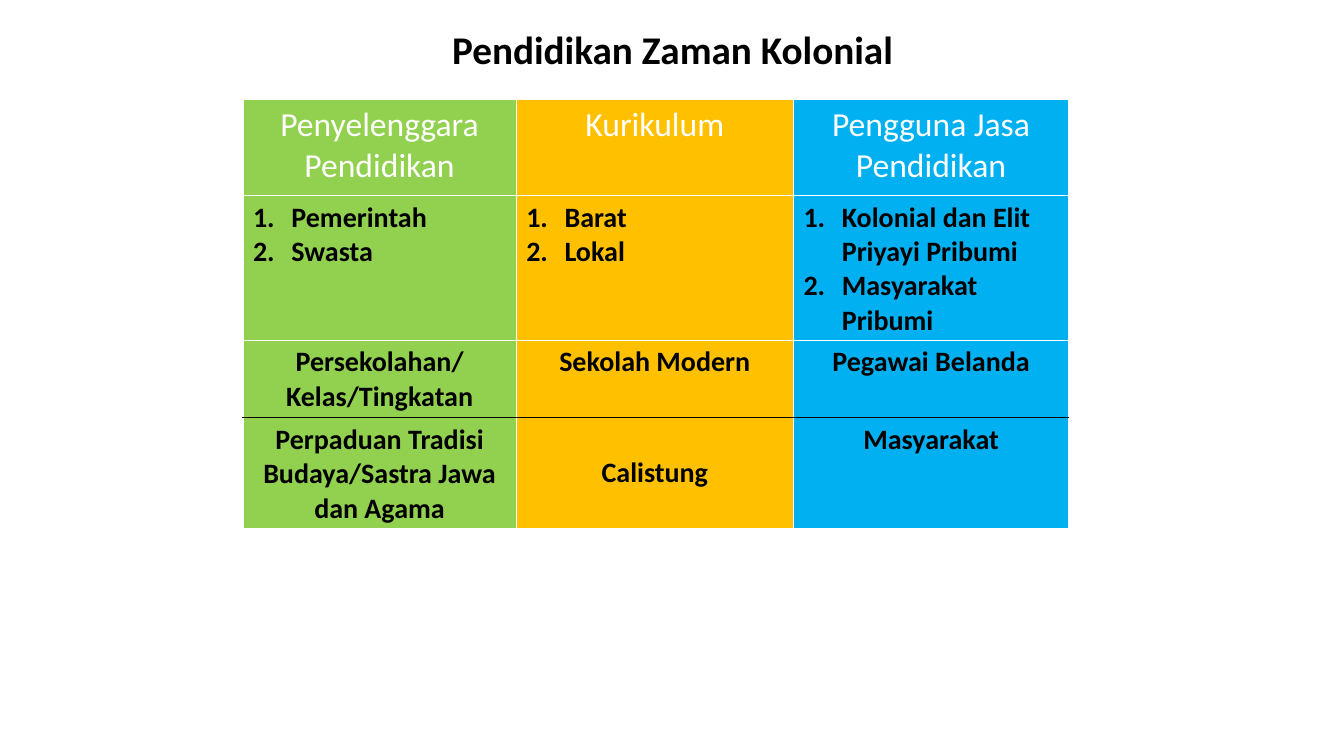
"""Build a slide with a table on education in the colonial era."""
from lxml import etree
from pptx import Presentation
from pptx.dml.color import RGBColor
from pptx.enum import text
from pptx.oxml import ns
from pptx.util import Inches, Pt

BLACK = RGBColor(0x00, 0x00, 0x00)
WHITE = RGBColor(0xFF, 0xFF, 0xFF)
GREEN = RGBColor(0x92, 0xD0, 0x50)
AMBER = RGBColor(0xFF, 0xC0, 0x00)
BLUE = RGBColor(0x00, 0xB0, 0xF0)

COLUMN_FILLS = [GREEN, AMBER, BLUE]
COLUMN_WIDTHS = [2.71, 2.75, 2.73]
ROW_HEIGHTS = [0.95, 1.43, 0.77, 1.1]
HEADER_ROW, LIST_ROW, SCHOOL_ROW, TRADITION_ROW = range(4)
ROWS = [
    ["Penyelenggara Pendidikan", "Kurikulum", "Pengguna Jasa\nPendidikan"],
    ["Pemerintah\nSwasta", "Barat\nLokal",
     "Kolonial dan Elit Priyayi Pribumi\nMasyarakat Pribumi"],
    ["Persekolahan/Kelas/Tingkatan", "Sekolah Modern", "Pegawai Belanda"],
    ["Perpaduan Tradisi Budaya/Sastra Jawa dan Agama", "Calistung", "Masyarakat"],
]


def add_border(cell, side, color):
    properties = cell._tc.get_or_add_tcPr()
    line = etree.SubElement(properties, ns.qn(f"a:ln{side}"), w=str(Pt(1)))
    fill = etree.SubElement(line, ns.qn("a:solidFill"))
    etree.SubElement(fill, ns.qn("a:srgbClr"), val=str(color))


def number_paragraph(paragraph):
    properties = paragraph._p.get_or_add_pPr()
    indent = Inches(0.38)
    properties.set("marL", str(indent))
    properties.set("indent", str(-indent))
    etree.SubElement(properties, ns.qn("a:buFont"), typeface="+mj-lt")
    etree.SubElement(properties, ns.qn("a:buAutoNum"), type="arabicPeriod")


presentation = Presentation()
presentation.slide_width = Inches(13.33)
presentation.slide_height = Inches(7.5)
slide = presentation.slides.add_slide(presentation.slide_layouts[5])

title = slide.shapes.title
title.left, title.top = Inches(3.64), Inches(0.2)
title.width, title.height = Inches(6.06), Inches(0.57)
title.text_frame.text = "Pendidikan Zaman Kolonial"
title.text_frame.auto_size = text.MSO_AUTO_SIZE.SHAPE_TO_FIT_TEXT
heading = title.text_frame.paragraphs[0]
heading.alignment = text.PP_ALIGN.CENTER
heading.font.name = "Calibri"
heading.font.size = Pt(28)
heading.font.bold = True
heading.font.color.rgb = BLACK

table = slide.shapes.add_table(
    len(ROWS), len(COLUMN_WIDTHS), Inches(2.41), Inches(0.99),
    Inches(sum(COLUMN_WIDTHS)), Inches(sum(ROW_HEIGHTS))).table
table.first_row = False
table.horz_banding = False
for column, width in zip(table.columns, COLUMN_WIDTHS):
    column.width = Inches(width)
for row, height in zip(table.rows, ROW_HEIGHTS):
    row.height = Inches(height)

for row_index, row_texts in enumerate(ROWS):
    is_header = row_index == HEADER_ROW
    border_colors = {
        "L": WHITE,
        "R": WHITE,
        "T": BLACK if row_index == TRADITION_ROW else WHITE,
        "B": BLACK if row_index == SCHOOL_ROW else WHITE,
    }
    for column_index, cell_text in enumerate(row_texts):
        cell = table.cell(row_index, column_index)
        cell.text = cell_text
        for side, color in border_colors.items():
            add_border(cell, side, color)
        cell.fill.solid()
        cell.fill.fore_color.rgb = COLUMN_FILLS[column_index]
        for paragraph in cell.text_frame.paragraphs:
            if row_index == LIST_ROW:
                number_paragraph(paragraph)
            else:
                paragraph.alignment = text.PP_ALIGN.CENTER
            paragraph.font.name = "Calibri"
            paragraph.font.size = Pt(24 if is_header else 20)
            paragraph.font.bold = not is_header
            paragraph.font.color.rgb = WHITE if is_header else BLACK

table.cell(TRADITION_ROW, 1).vertical_anchor = text.MSO_ANCHOR.MIDDLE

presentation.save("out.pptx")
